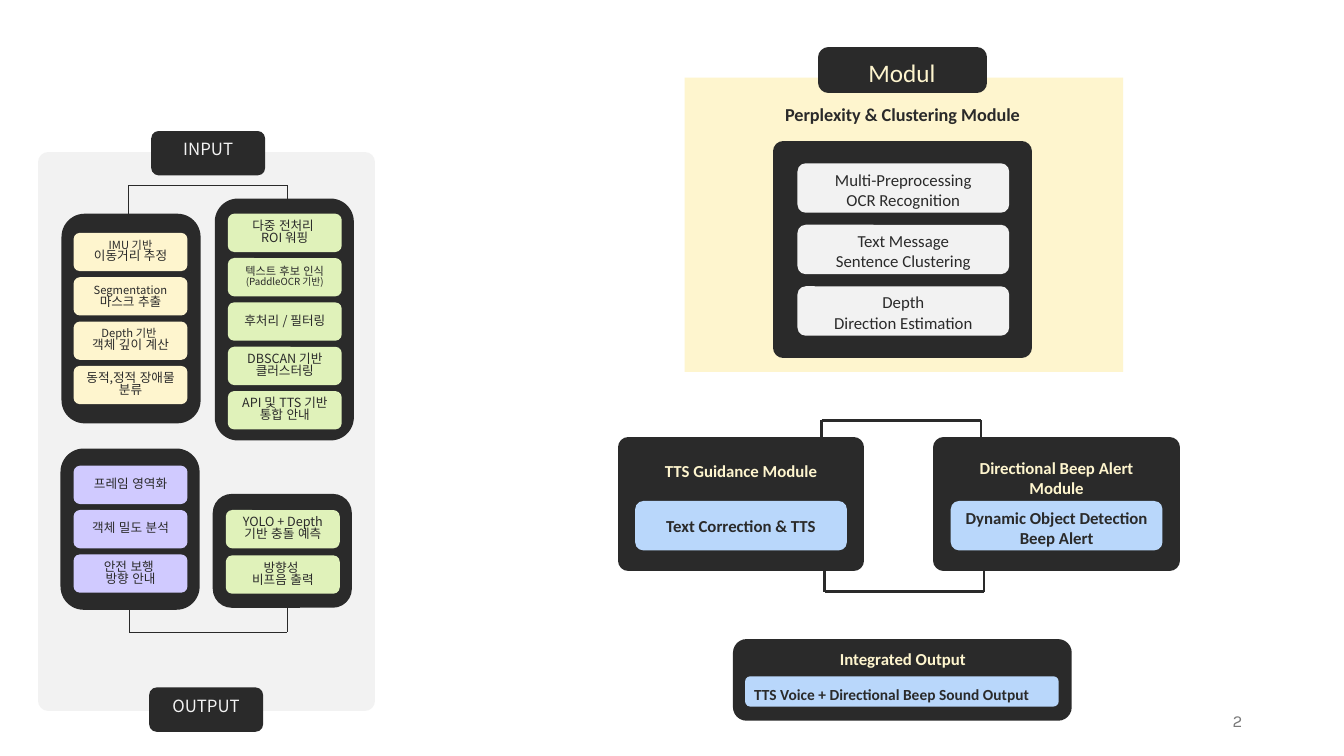
from lxml import etree
from pptx import Presentation
from pptx.dml.color import RGBColor
from pptx.enum import lang, shapes, text
from pptx.oxml import ns
from pptx.util import Inches, Pt

DARK, CREAM, GREY = "2A2A2A", "FEF5CE", "F2F2F2"
GREEN, VIOLET, BLUE = "E0F2BA", "D0CAFF", "B9D7FB"
LATIN, KOREAN = "Calibri", "Noto Sans CJK KR"
RECT = shapes.MSO_SHAPE.RECTANGLE
ROUND = shapes.MSO_SHAPE.ROUNDED_RECTANGLE


def color(value):
    return RGBColor.from_string(value)


class Board:
    """Holds the current slide and its shared style."""

    def __init__(self, slide):
        self.slide = slide

    def shape(self, kind, left, top, width, height, fill, border=0):
        shape = self.slide.shapes.add_shape(
            kind, Inches(left), Inches(top), Inches(width), Inches(height))
        shape.shadow.inherit = False
        shape.fill.solid()
        shape.fill.fore_color.rgb = color(fill)
        if border:
            shape.line.color.rgb = color(fill)
            shape.line.width = Pt(border)
        else:
            shape.line.fill.background()
        return shape

    def add_text(self, frame, paragraphs, font=LATIN, ink=DARK, bold=False,
                 align=text.PP_ALIGN.CENTER):
        """Each paragraph is a list of (words, size) runs."""
        for index, runs in enumerate(paragraphs):
            paragraph = frame.add_paragraph() if index else frame.paragraphs[0]
            paragraph.alignment = align
            if font == KOREAN:
                paragraph.line_spacing = 0.8
            for words, size in runs:
                run = paragraph.add_run()
                run.text = words
                run.font.size = Pt(size)
                run.font.name = font
                run.font.bold = bold
                run.font.color.rgb = color(ink)
                if font == KOREAN:
                    run.font.language_id = lang.MSO_LANGUAGE_ID.KOREAN
                    east_asian = etree.SubElement(run.font._element, ns.qn("a:ea"))
                    east_asian.set("typeface", font)

    def label(self, left, top, width, height, lines, size=12, wrap=False, **style):
        box = self.slide.shapes.add_textbox(
            Inches(left), Inches(top), Inches(width), Inches(height))
        box.text_frame.word_wrap = wrap
        self.add_text(box.text_frame, [[(line, size)] for line in lines], **style)
        return box

    def chips(self, left, top, pitch, fill, entries):
        for index, paragraphs in enumerate(entries):
            chip = self.shape(ROUND, left, top + index * pitch, 1.13, 0.38, fill)
            chip.text_frame.word_wrap = True
            chip.text_frame.vertical_anchor = text.MSO_ANCHOR.MIDDLE
            self.add_text(chip.text_frame, paragraphs, font=KOREAN)

    def bracket(self, left, right, bar, end, weight):
        for x1, y1, x2, y2 in ((left, bar, right, bar), (left, bar, left, end),
                               (right, bar, right, end)):
            line = self.slide.shapes.add_connector(
                shapes.MSO_CONNECTOR.STRAIGHT,
                Inches(x1), Inches(y1), Inches(x2), Inches(y2))
            line.line.color.rgb = color(DARK)
            line.line.width = Pt(weight)
            etree.SubElement(line._element.spPr, ns.qn("a:effectLst"))


def build_pipeline(board):
    # Input-to-output column
    board.shape(RECT, 0.48, 1.61, 3.14, 5.34, GREY, 15)
    board.bracket(1.27, 2.85, 1.84, 2.42, 0.5)
    board.bracket(1.28, 2.85, 6.27, 5.69, 0.5)
    for panel in ((0.61, 2.12, 1.38, 2.08), (2.13, 1.97, 1.38, 2.4),
                  (0.6, 4.45, 1.38, 1.6), (2.11, 4.9, 1.38, 1.13)):
        board.shape(ROUND, *panel, DARK)
    for name, left, top in (("INPUT", 1.5, 1.3), ("OUTPUT", 1.48, 6.82)):
        board.shape(ROUND, left, top, 1.13, 0.44, DARK)
        board.label(left, top + 0.07, 1.13, 0.3, [name], font=KOREAN, ink=GREY)

    # Processing steps in each panel
    board.chips(0.73, 2.31, 0.44, CREAM, [
        [[("IMU 기반 ", 8), ("이동거리 추정", 9)]],
        [[("Segmentation", 8), (" ", 10), ("마스크 추출", 9)]],
        [[("Depth 기반 ", 8)], [("객체 깊이 계산", 9)]],
        [[("동적,정적 장애물 분류", 9)]]])
    board.chips(2.26, 2.12, 0.44, GREEN, [
        [[("다중 전처리 ", 9)], [("ROI 워핑", 9)]],
        [[("텍스트 후보 인식 ", 8), ("(PaddleOCR 기반)", 7)]],
        [[("후처리 / 필터링", 9)]],
        [[("DBSCAN 기반 클러스터링", 9)]],
        [[("API 및 TTS 기반 통합 안내", 9)]]])
    board.chips(0.73, 4.62, 0.44, VIOLET, [
        [[("프레임 영역화", 9)]],
        [[("객체 밀도 분석", 9)]],
        [[("안전 보행 ", 9)], [("방향 안내", 9)]]])
    board.chips(2.24, 5.06, 0.45, GREEN, [
        [[("YOLO + Depth 기반 충돌 예측", 9)]],
        [[("방향성 ", 9)], [("비프음 출력", 9)]]])


def build_modules(board):
    # Perplexity and clustering module
    board.shape(RECT, 6.79, 0.77, 4.35, 2.92, CREAM)
    board.label(7.59, 0.98, 2.72, 0.32, ["Perplexity & Clustering Module"], 13, bold=True)
    board.shape(RECT, 7.77, 1.5, 2.36, 1.95, DARK, 15)
    board.shape(RECT, 8.22, 0.57, 1.47, 0.25, DARK, 15)
    board.label(8.47, 0.52, 0.95, 0.4, ["Module"], 18, ink=CREAM)
    steps = (("Multi-Preprocessing", "OCR Recognition"),
             ("Text Message", "Sentence Clustering"),
             ("Depth", "Direction Estimation"))
    for index, lines in enumerate(steps):
        top = 1.62 + index * 0.61
        board.shape(ROUND, 7.91, top, 2.1, 0.49, GREY)
        board.label(7.91, top + 0.01, 2.1, 0.5, lines)

    # Guidance and alert modules
    board.bracket(8.15, 9.73, 4.17, 4.74, 2)
    board.bracket(8.18, 9.76, 5.87, 5.29, 2)
    modules = (
        (6.23, 4.52, "TTS Guidance Module", 5.07, ["Text Correction & TTS"]),
        (9.36, 4.49, "Directional Beep Alert Module", 4.99,
         ["Dynamic Object Detection", "Beep Alert"]))
    for left, title_top, title, task_top, task in modules:
        board.shape(RECT, left, 4.44, 2.24, 1.12, DARK, 15)
        board.shape(ROUND, left + 0.07, 4.97, 2.1, 0.49, BLUE)
        board.label(left + 0.12, title_top, 2, 0.3, [title], wrap=True,
                    ink=CREAM, bold=True)
        board.label(left + 0.07, task_top, 2.1, 0.3, task, bold=True)

    # Integrated output
    board.shape(ROUND, 7.27, 6.34, 3.36, 0.81, DARK)
    board.label(8.22, 6.39, 1.47, 0.3, ["Integrated Output"], ink=CREAM, bold=True)
    board.shape(ROUND, 7.39, 6.71, 3.11, 0.3, BLUE)
    board.label(7.38, 6.75, 3.18, 0.29, ["TTS Voice + Directional Beep Sound Output"],
                11, wrap=True, bold=True, align=text.PP_ALIGN.LEFT)


def main():
    presentation = Presentation()
    presentation.slide_width = Inches(13.33)
    presentation.slide_height = Inches(7.5)
    board = Board(presentation.slides.add_slide(presentation.slide_layouts[6]))
    build_pipeline(board)
    build_modules(board)

    # Page number
    number = board.label(9.42, 6.95, 3, 0.4, ["2"], wrap=True, font="Karla",
                         ink="797979", align=text.PP_ALIGN.RIGHT)
    number.text_frame.vertical_anchor = text.MSO_ANCHOR.MIDDLE
    presentation.save("out.pptx")


if __name__ == "__main__":
    main()
